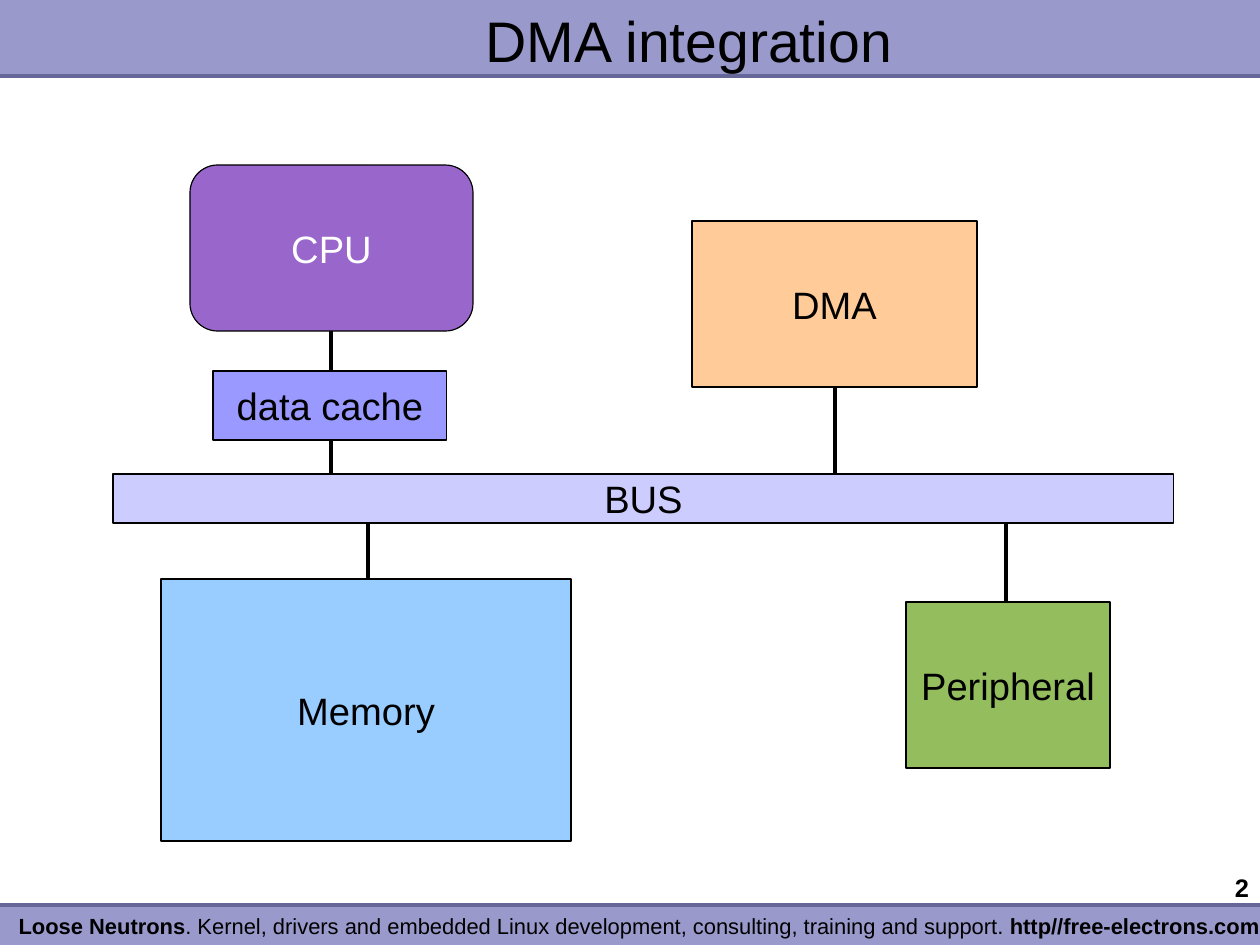
from lxml import etree
from pptx import Presentation
from pptx import util as u
from pptx.dml.color import RGBColor
from pptx.enum import shapes, text
from pptx.oxml.ns import qn

PX = 8000
WIDTH, HEIGHT = 1260, 945
HEADER_BOTTOM, FOOTER_TOP = 76, 905
FONT = "Arial"
COLORS = {
    "band": "9999CC", "rule": "666699", "ink": "000000", "white": "FFFFFF",
    "cpu": "9966CC", "memory": "99CCFF", "dma": "FFCC99",
    "peripheral": "94BD5E", "cache": "9999FF", "bus": "CCCCFF",
}

TITLE = "DMA integration"
PAGE = "2"
FOOTER = [
    ("Loose Neutrons", True),
    (". Kernel, drivers and embedded Linux development, consulting, training and support.", False),
    (" http//free-electrons.com", True),
]
BLOCKS = {
    "CPU": ((190, 165, 283, 166), "cpu", "white"),
    "Memory": ((161, 579, 410, 262), "memory", "ink"),
    "DMA": ((692, 221, 285, 166), "dma", "ink"),
    "Peripheral": ((906, 602, 204, 166), "peripheral", "ink"),
    "data cache": ((213, 371, 234, 69), "cache", "ink"),
    "BUS": ((113, 474, 1061, 49), "bus", "ink"),
}
ROUNDED = "CPU"
WIRES = {"Peripheral": 1006, "DMA": 835, "Memory": 368, "CPU": 331}

deck = Presentation()
deck.slide_width, deck.slide_height = WIDTH * PX, HEIGHT * PX
slide = deck.slides.add_slide(deck.slide_layouts[6])


def color(name):
    return RGBColor.from_string(COLORS[name])


def scaled(lengths):
    return [length * PX for length in lengths]


def write(shape, pieces, size, ink="ink", align=text.PP_ALIGN.CENTER,
          anchor=text.MSO_ANCHOR.MIDDLE, wrap=True):
    frame = shape.text_frame
    frame.margin_left = frame.margin_right = frame.margin_top = frame.margin_bottom = 0
    frame.word_wrap = wrap
    frame.vertical_anchor = anchor
    paragraph = frame.paragraphs[0]
    paragraph.alignment = align
    for words, bold in pieces:
        run = paragraph.add_run()
        run.text = words
        run.font.name, run.font.size, run.font.bold = FONT, u.Pt(size), bold
        run.font.color.rgb = color(ink)


def add_box(box, fill, kind=shapes.MSO_SHAPE.RECTANGLE, outlined=False):
    shape = slide.shapes.add_shape(kind, *scaled(box))
    shape.shadow.inherit = False
    shape.fill.solid()
    shape.fill.fore_color.rgb = color(fill)
    if outlined:
        shape.line.color.rgb = color("ink")
        shape.line.width = 0
    else:
        shape.line.fill.background()
    return shape


def add_line(start, end, ink, points):
    line = slide.shapes.add_connector(
        shapes.MSO_CONNECTOR.STRAIGHT, *scaled(start + end))
    line.line.color.rgb = color(ink)
    line.line.width = u.Pt(points)
    etree.SubElement(line._element.spPr, qn("a:effectLst"))


def add_text(box, pieces, size, **layout):
    write(slide.shapes.add_textbox(*scaled(box)), pieces, size, **layout)


for top, bottom, edge in ((0, HEADER_BOTTOM, HEADER_BOTTOM),
                          (FOOTER_TOP, HEIGHT, FOOTER_TOP)):
    add_box((0, top, WIDTH, bottom - top), "band")
    add_line((0, edge), (WIDTH, edge), "rule", 2.83)

add_text((136, 5, 1106, 70), [(TITLE, False)], 36)
add_text((1084, 872, 165, 49), [(PAGE, True)], 16,
         align=text.PP_ALIGN.RIGHT, anchor=text.MSO_ANCHOR.TOP)
add_text((18, 913, 1242, 29), FOOTER, 13.8,
         anchor=text.MSO_ANCHOR.TOP, wrap=False)

_, bus_top, _, bus_height = BLOCKS["BUS"][0]
for label, x in WIRES.items():
    _, top, _, height = BLOCKS[label][0]
    if top < bus_top:
        add_line((x, top + height), (x, bus_top), "ink", 0)
    else:
        add_line((x, bus_top + bus_height), (x, top), "ink", 0)

for label, (box, fill, ink) in BLOCKS.items():
    kind = (shapes.MSO_SHAPE.ROUNDED_RECTANGLE if label == ROUNDED
            else shapes.MSO_SHAPE.RECTANGLE)
    write(add_box(box, fill, kind, outlined=True), [(label, False)], 24, ink)

deck.save("out.pptx")
